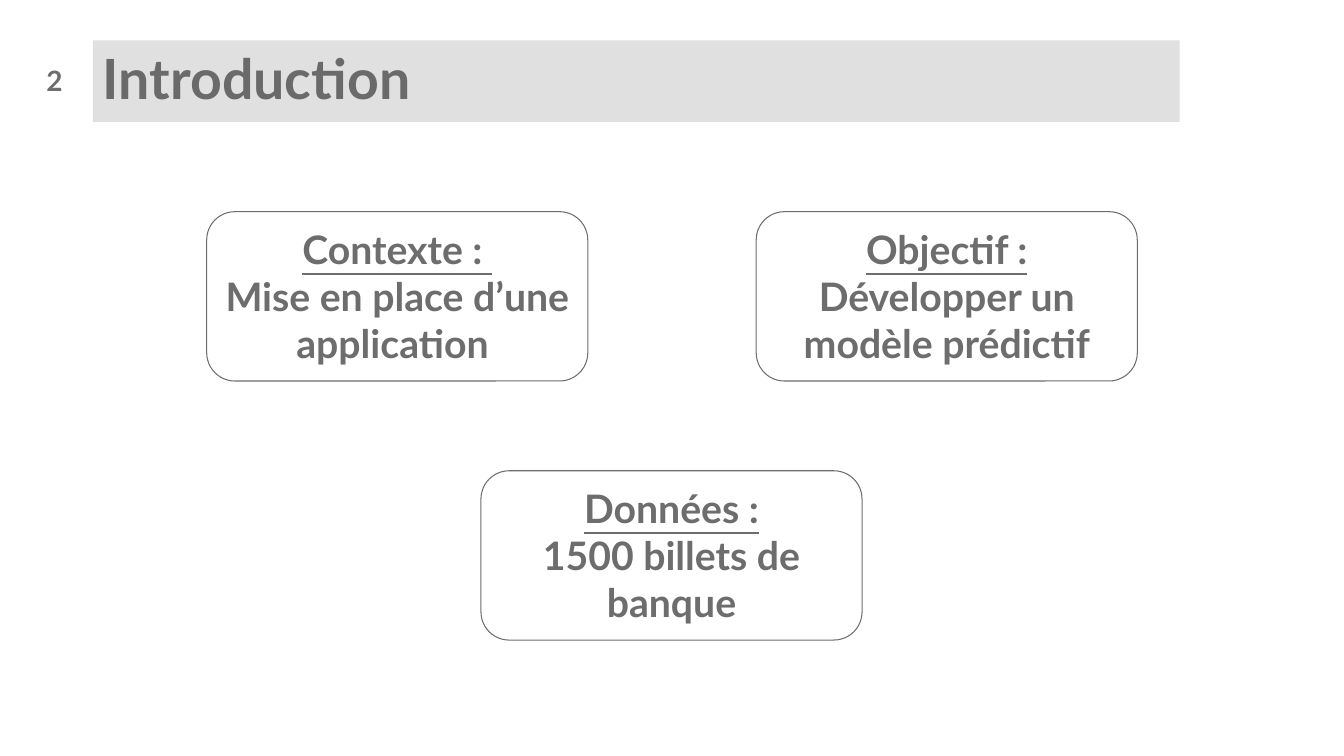
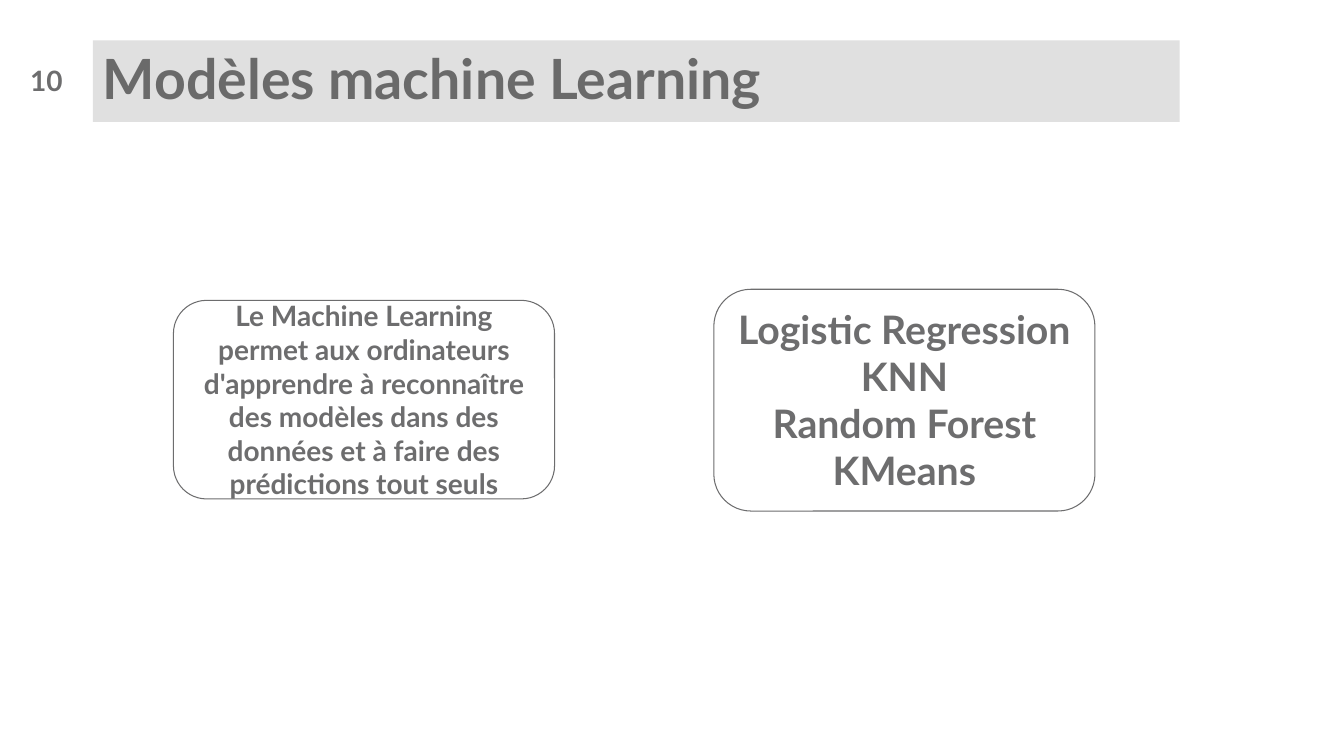
from pptx import Presentation
from pptx.dml.color import RGBColor
from pptx.enum.shapes import MSO_SHAPE as SHAPE
from pptx.enum.text import MSO_ANCHOR as ANCHOR, MSO_AUTO_SIZE as AUTO, PP_ALIGN as ALIGN
from pptx.util import Inches, Pt


def rgb(value):
    return RGBColor.from_string(value)


class Deck:
    FONT = "Lato"
    TITLE = "6A6A6A"
    TEXT = "6D6D6E"
    BAND = "E0E0E0"
    BOX_WIDTH = 3.78

    def __init__(self):
        self.prs = Presentation()
        self.prs.slide_width = Inches(13.33)
        self.prs.slide_height = Inches(7.5)
        self.s = None

    def set_text(self, sp, lines, size, color, align, anchor):
        tf = sp.text_frame
        tf.text = "\n".join(lines)
        tf.word_wrap = True
        tf.auto_size = AUTO.NONE
        tf.vertical_anchor = anchor
        for p in tf.paragraphs:
            p.alignment = align
            for r in p.runs:
                r.font.name = self.FONT
                r.font.size = Pt(size)
                r.font.bold = True
                r.font.color.rgb = rgb(color)
        return tf

    def slide(self, title, number):
        self.s = self.prs.slides.add_slide(self.prs.slide_layouts[5])
        self.title(title)
        self.number(number)

    def title(self, text):
        sp = self.s.shapes.title
        sp.left, sp.top = Inches(0.92), Inches(0.4)
        sp.width, sp.height = Inches(10.78), Inches(0.81)
        sp.fill.solid()
        sp.fill.fore_color.rgb = rgb(self.BAND)
        tf = self.set_text(sp, [text], 39.6, self.TITLE, ALIGN.LEFT, ANCHOR.MIDDLE)
        tf.paragraphs[0].line_spacing = 0.9

    def number(self, number):
        sp = self.s.shapes.add_textbox(Inches(0), Inches(0.6), Inches(0.72), Inches(0.4))
        self.set_text(sp, [str(number)], 20, self.TEXT, ALIGN.RIGHT, ANCHOR.MIDDLE)

    def box(self, left, top, height, lines, size=28, anchor=ANCHOR.TOP):
        sp = self.s.shapes.add_shape(SHAPE.ROUNDED_RECTANGLE, Inches(left), Inches(top),
                                     Inches(self.BOX_WIDTH), Inches(height))
        sp.shadow.inherit = False
        sp.fill.background()
        sp.line.color.rgb = rgb(self.TEXT)
        sp.line.width = Pt(0.75)
        return self.set_text(sp, lines, size, self.TEXT, ALIGN.CENTER, anchor)

    def card(self, left, top, heading, text):
        tf = self.box(left, top, 1.68, [heading, text])
        tf.paragraphs[0].runs[0].font.underline = True


def main():
    deck = Deck()

    deck.slide("Introduction", 2)
    deck.card(2.05, 2.1, "Contexte : ", "Mise en place d’une application ")
    deck.card(7.5, 2.1, "Objectif :", "Développer un modèle prédictif")
    deck.card(4.77, 4.67, "Données :", "1500 billets de banque")

    deck.slide("Modèles machine Learning", 10)
    deck.box(7.08, 2.87, 2.2, ["Logistic Regression", "KNN", "Random Forest", "KMeans"])
    deck.box(1.72, 2.98, 1.97,
             ["Le Machine Learning permet aux ordinateurs d'apprendre à reconnaître "
              "des modèles dans des données et à faire des prédictions tout seuls"],
             size=20, anchor=ANCHOR.MIDDLE)

    deck.prs.save("out.pptx")


if __name__ == "__main__":
    main()
